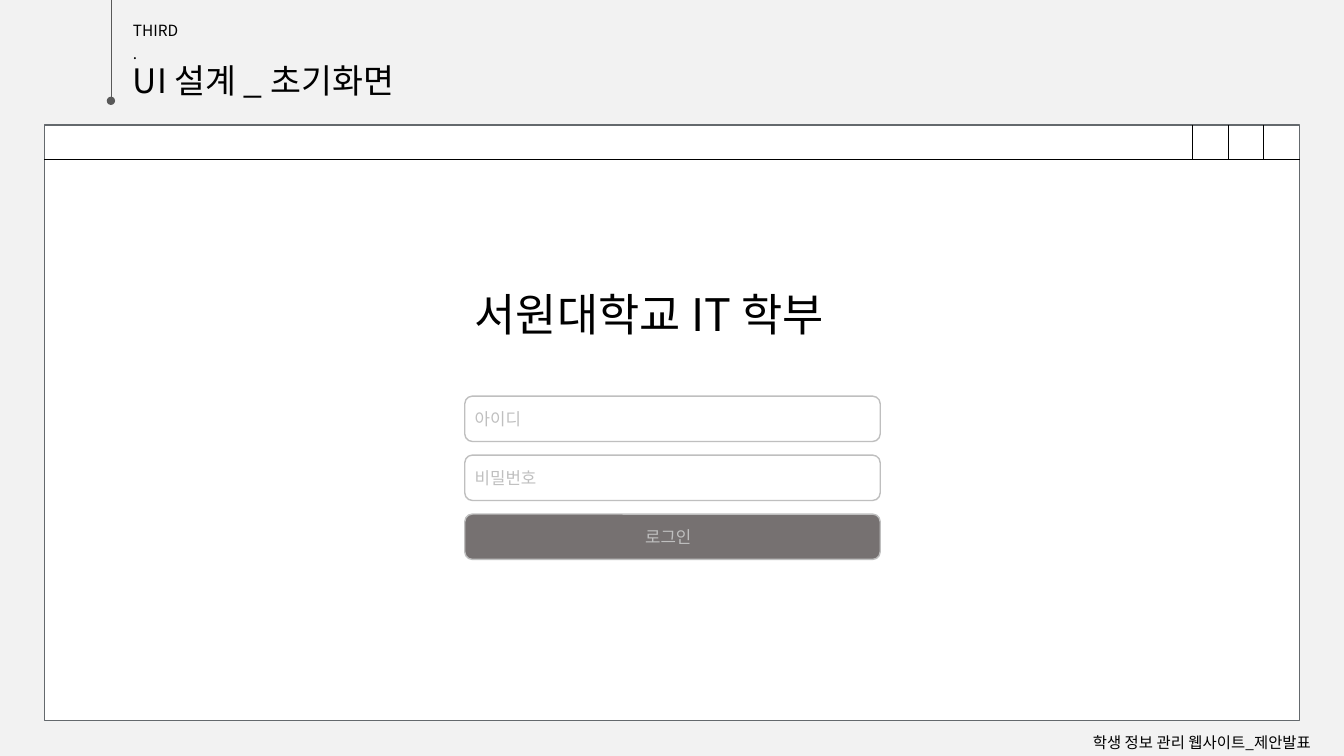
from dataclasses import dataclass

from lxml.etree import SubElement
from pptx import Presentation
from pptx.dml.color import RGBColor
from pptx.enum.shapes import MSO_CONNECTOR, MSO_SHAPE
from pptx.enum.text import MSO_AUTO_SIZE
from pptx.oxml.ns import qn
from pptx.util import Inches, Pt

FONT = "Noto Sans CJK KR"
BLACK = RGBColor(0x00, 0x00, 0x00)
WHITE = RGBColor(0xFF, 0xFF, 0xFF)
PAPER = RGBColor(0xF2, 0xF2, 0xF2)
MARKER = RGBColor(0x59, 0x59, 0x59)
FRAME = RGBColor(0x64, 0x69, 0x6D)
HINT = RGBColor(0xBF, 0xBF, 0xBF)
BUTTON = RGBColor(0x76, 0x71, 0x71)

COLUMN = ROW = Inches(0.1)


@dataclass
class Box:
    left: float
    top: float
    width: float
    height: float

    def at(self, column, row, width, height):
        return Box(self.left + column, self.top + row, width, height)

    def lengths(self):
        return (int(self.left * COLUMN), int(self.top * ROW),
                int(self.width * COLUMN), int(self.height * ROW))


def add_text(slide, box, words, size, color=BLACK, spacing=None):
    frame = slide.shapes.add_textbox(*box.lengths()).text_frame
    for name, value in {"word_wrap": True, "auto_size": MSO_AUTO_SIZE.SHAPE_TO_FIT_TEXT}.items():
        setattr(frame, name, value)
    paragraph = frame.paragraphs[0]
    paragraph.line_spacing = spacing
    run = paragraph.add_run()
    run.text = words
    for name, value in {"name": FONT, "size": Pt(size)}.items():
        setattr(run.font, name, value)
    run.font.color.rgb = color
    SubElement(run.font._element, qn("a:ea"), typeface=FONT)


def add_panel(slide, box, preset, fill, outline):
    panel = slide.shapes.add_shape(preset, *box.lengths())
    panel.shadow.inherit = False
    panel.fill.solid()
    panel.fill.fore_color.rgb = fill
    panel.line.color.rgb = outline
    panel.line.width = Pt(1)


def add_rule(slide, box, color, weight, dot=False):
    left, top, width, height = box.lengths()
    rule = slide.shapes.add_connector(MSO_CONNECTOR.STRAIGHT, left, top, left + width, top + height)
    rule.line.color.rgb = color
    rule.line.width = Pt(weight)
    if dot:
        SubElement(rule.line._get_or_add_ln(), qn("a:tailEnd"), type="oval")
    SubElement(rule._element.spPr, qn("a:effectLst"))


def draw_header(slide, box):
    add_text(slide, box.at(1.2, 1.2, 6.5, 3.3), "THIRD.", 11, spacing=1.24)
    add_text(slide, box.at(1.2, 4.5, 30.5, 5.5), "UI 설계 _ 초기화면", 24, spacing=1.24)
    add_rule(slide, box.at(0, 0, 0, box.height), MARKER, 0.25, dot=True)


def draw_window(slide, box, bar=3.4, control=3.55, controls=3):
    add_panel(slide, box, MSO_SHAPE.RECTANGLE, WHITE, FRAME)
    add_rule(slide, box.at(0, bar, box.width, 0), BLACK, 0.5)
    for count in range(1, controls + 1):
        add_rule(slide, box.at(box.width - count * control, 0, 0, bar), BLACK, 0.5)


def draw_login(slide, box, first=11.3, step=5.85, height=4.5):
    add_text(slide, box.at(0, 0, box.width, 6.4), "서원대학교 IT 학부", 32)
    fields = [("아이디", WHITE, 0, 8.1), ("비밀번호", WHITE, 0, 9.3), ("로그인", BUTTON, 16.9, 8.3)]
    for index, (label, fill, indent, width) in enumerate(fields):
        field = box.at(0, first + index * step, box.width, height)
        add_panel(slide, field, MSO_SHAPE.ROUNDED_RECTANGLE, fill, HINT)
        add_text(slide, field.at(indent, 0.75, width, 3), label, 12, HINT)


def draw_footer(slide, box):
    add_text(slide, box, "학생 정보 관리 웹사이트_제안발표", 11, spacing=1.24)


deck = Presentation()
deck.slide_width, deck.slide_height = Inches(13.33), Inches(7.5)
start_screen = deck.slides.add_slide(deck.slide_layouts[6])
start_screen.background.fill.solid()
start_screen.background.fill.fore_color.rgb = PAPER

draw_header(start_screen, Box(11, 0, 31.7, 10))
draw_window(start_screen, Box(4.4, 12.4, 124.5, 59.1))
draw_login(start_screen, Box(46.1, 28, 41.2, 27.5))
draw_footer(start_screen, Box(107.4, 71.8, 25.9, 3.1))

deck.save("out.pptx")
